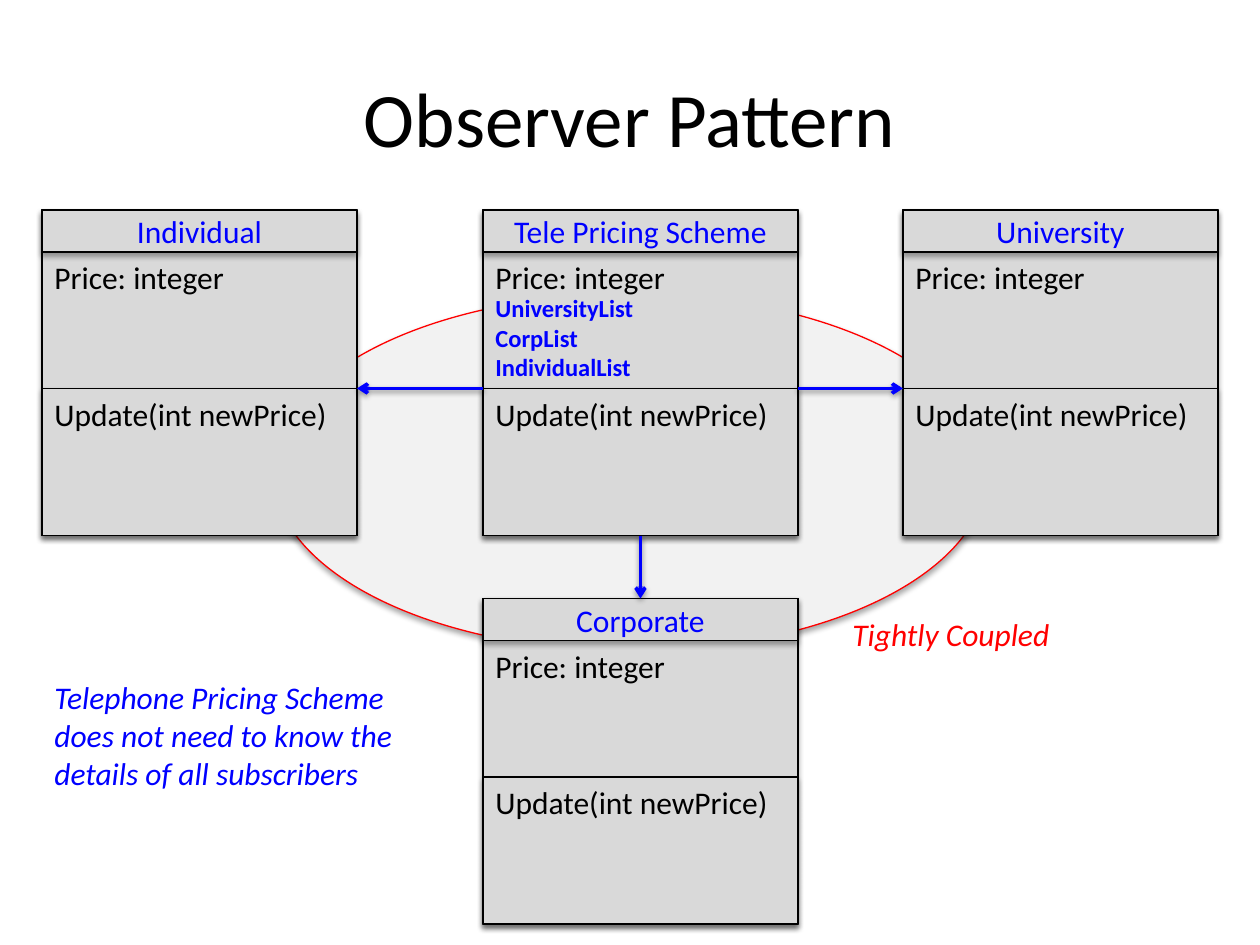
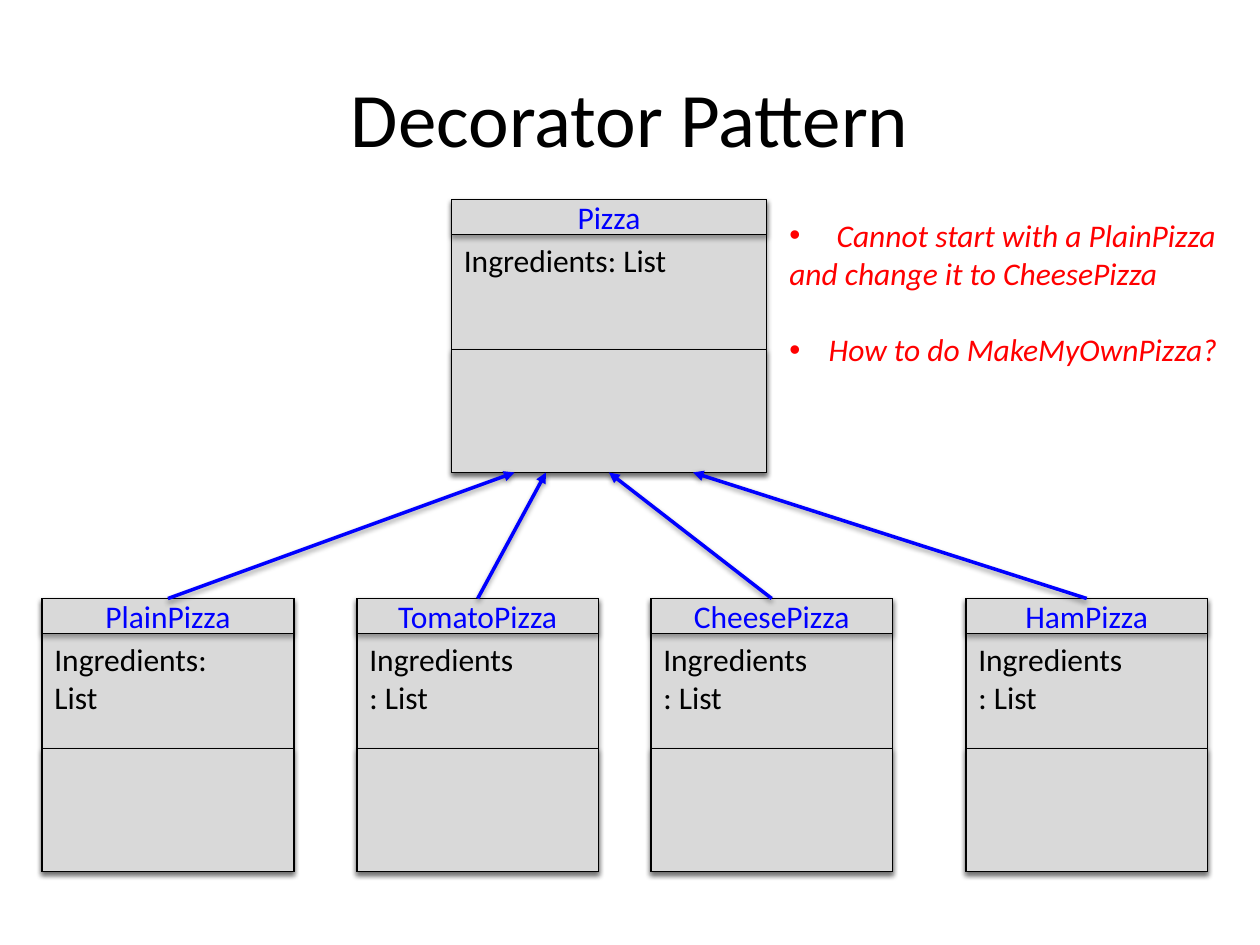
from lxml.etree import SubElement as Sub
from pptx import Presentation
from pptx.dml.color import RGBColor
from pptx.enum.shapes import MSO_CONNECTOR as Conn, MSO_SHAPE as Kind
from pptx.enum.text import MSO_ANCHOR as Anchor, PP_ALIGN as Align
from pptx.oxml.ns import qn
from pptx.util import Pt

# Shared style
FONT = "Calibri"
BLACK, BLUE, RED = "000000", "0000FF", "FF0000"
GREY, PALE = "D9D9D9", "F2F2F2"
CLASS_H, HEAD_H, OPS_Y = 186, 24, 102


def color(code):
    return RGBColor.from_string(code)


def shade(item, alpha, dist):
    """Give a shape or connector a soft shadow straight below."""
    props = item._element.spPr
    effects = props.find(qn("a:effectLst"))
    if effects is None:
        effects = Sub(props, qn("a:effectLst"))
    cast = Sub(effects, qn("a:outerShdw"), blurRad=str(Pt(3.1)),
               dist=str(Pt(dist)), dir="5400000", rotWithShape="0")
    tint = Sub(cast, qn("a:srgbClr"), val=BLACK)
    Sub(tint, qn("a:alpha"), val=str(alpha * 1000))


def bullet(para, indent):
    props = para._p.get_or_add_pPr()
    props.set("marL", str(Pt(indent)))
    props.set("indent", str(-Pt(indent)))
    Sub(props, qn("a:buFont"), typeface="Arial")
    Sub(props, qn("a:buChar"), char="•")


def write(item, text, size=18, ink=BLACK, bold=False, italic=False,
          align=Align.LEFT, anchor=Anchor.TOP, wrap=False):
    """Fill an item with text, one paragraph a line."""
    frame = item.text_frame
    frame.word_wrap = wrap
    frame.vertical_anchor = anchor
    frame.text = text
    for para in frame.paragraphs:
        para.alignment = align
        font = para.font
        for run in para.runs:
            font = run.font
            font.name, font.size = FONT, Pt(size)
            font.bold, font.italic = bold, italic
            font.color.rgb = color(ink)
    return frame.paragraphs


def label(shapes, x, y, w, h, text, **style):
    box = shapes.add_textbox(Pt(x), Pt(y), Pt(w), Pt(h))
    return write(box, text, **style)


def panel(shapes, x, y, w, h, kind=Kind.RECTANGLE, fill=GREY, edge=BLACK):
    item = shapes.add_shape(kind, Pt(x), Pt(y), Pt(w), Pt(h))
    item.fill.solid()
    item.fill.fore_color.rgb = color(fill)
    item.line.color.rgb = color(edge)
    item.line.width = Pt(0.75)
    item.shadow.inherit = False
    shade(item, 35, 1.8)
    return item


def arrow(shapes, x1, y1, x2, y2, tip):
    link = shapes.add_connector(Conn.STRAIGHT, Pt(x1), Pt(y1), Pt(x2), Pt(y2))
    link.line.color.rgb = color(BLUE)
    link.line.width = Pt(2)
    Sub(link.line._get_or_add_ln(), qn("a:tailEnd"), type=tip)
    shade(link, 38, 1.6)


def title(shapes, text):
    label(shapes, 36, 21.6, 648, 90, text, size=44, align=Align.CENTER,
          anchor=Anchor.MIDDLE, wrap=True)


def uml(shapes, x, y, w, h, name, field, field_w, method="", wrap=False):
    """Draw a class box: name, fields and methods, scaled to its height."""
    scale = h / CLASS_H
    head, ops = HEAD_H * scale, OPS_Y * scale
    panel(shapes, x, y, w, h)
    write(panel(shapes, x, y, w, head), name, ink=BLUE, align=Align.CENTER,
          anchor=Anchor.MIDDLE, wrap=True)
    panel(shapes, x, y + ops, w, h - ops)
    label(shapes, x, y + head, field_w, 29, field, wrap=wrap)
    if method:
        label(shapes, x, y + ops, 172, 29, method)


def observer(shapes):
    panel(shapes, 156, 168, 408, 204, Kind.OVAL, PALE, RED)
    title(shapes, "Observer Pattern")

    # Classes
    for name, x, y in (("Tele Pricing Scheme", 276, 120),
                       ("Individual", 24, 120), ("University", 516, 120),
                       ("Corporate", 276, 342)):
        uml(shapes, x, y, 180, CLASS_H, name, "Price: integer", 113,
            "Update(int newPrice)")
    label(shapes, 276, 164, 94, 58, "UniversityList\nCorpList\nIndividualList",
          size=14, ink=BLUE, bold=True)

    # Links to the subscribers
    for ends in ((456, 222, 516, 222), (276, 222, 204, 222),
                 (366, 306, 366, 342)):
        arrow(shapes, *ends, "arrow")

    # Remarks
    label(shapes, 480, 348, 133, 29, "Tightly Coupled", ink=RED, italic=True)
    label(shapes, 24, 384, 215, 73,
          "Telephone Pricing Scheme\ndoes not need to know the\n"
          "details of all subscribers", ink=BLUE, italic=True)


def pizza(shapes, x, y, w, name):
    group = shapes.add_group_shape()
    uml(group.shapes, x, y, w, 156, name, "Ingredients: List", w * 0.73,
        wrap=True)


def decorator(shapes):
    title(shapes, "Decorator Pattern")

    # Base class, then its subclasses with the arrow ends
    pizza(shapes, 258, 114, 180, "Pizza")
    kinds = (("PlainPizza", 24, 144, 294), ("TomatoPizza", 204, 138, 312),
             ("CheesePizza", 372, 138, 348), ("HamPizza", 552, 138, 396))
    for name, x, w, _ in kinds:
        pizza(shapes, x, 342, w, name)
    for _, x, w, end in kinds:
        arrow(shapes, x + w / 2, 342, end, 270, "triangle")

    # Remarks
    paras = label(shapes, 444, 120, 263, 138,
                  "Cannot start with a PlainPizza\n"
                  "and change it to CheesePizza\n"
                  "How to do MakeMyOwnPizza?", ink=RED, italic=True)
    paras[2].space_before = Pt(22)
    bullet(paras[0], 27)
    bullet(paras[2], 22.5)


def main():
    deck = Presentation()
    deck.slide_width, deck.slide_height = Pt(720), Pt(540)
    for draw in (observer, decorator):
        draw(deck.slides.add_slide(deck.slide_layouts[6]).shapes)
    deck.save("out.pptx")


if __name__ == "__main__":
    main()
